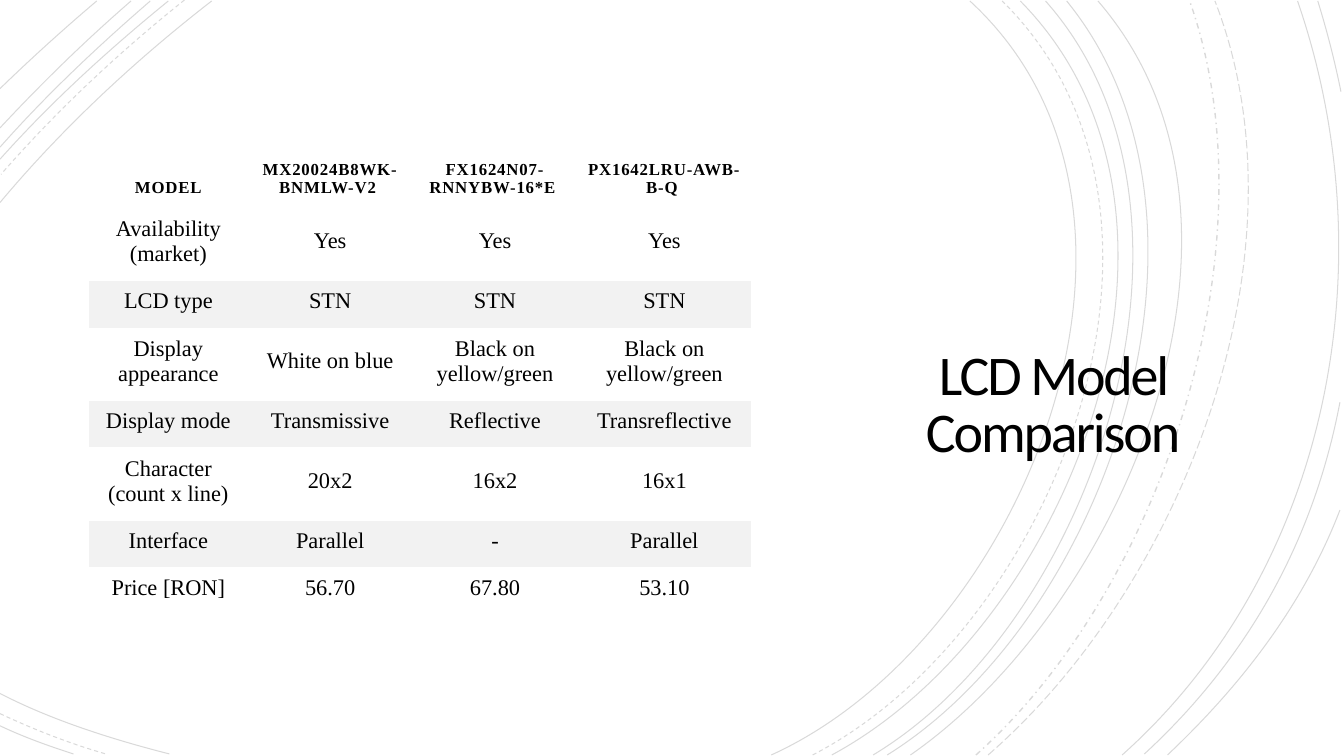
from dataclasses import dataclass

from lxml.etree import SubElement
from pptx import Presentation
from pptx.dml.color import RGBColor
from pptx.enum.dml import MSO_LINE
from pptx.enum.text import MSO_ANCHOR, PP_ALIGN
from pptx.oxml.ns import qn
from pptx.shapes.shapetree import GroupShapes
from pptx.slide import Slide
from pptx.text.text import TextFrame
from pptx.util import Pt

EMU_PER_PX = 9144  # 100 px to the inch
LINE_OPACITY = 15  # percent
PLAIN_TABLE_STYLE = "{2D5ABB26-0587-4C30-8999-92F81FD0307C}"
COLORS = {"ink": "000000", "band": "F2F2F2"}

Point = tuple[int, int]


@dataclass(frozen=True)
class Curve:
    """A cubic curve: start, two control points and end, in px."""
    start: Point
    control_1: Point
    control_2: Point
    end: Point
    dash: MSO_LINE = MSO_LINE.SOLID
    weight: float = 0.75


@dataclass(frozen=True)
class TextStyle:
    font: dict
    spacing: int  # hundredths of a point
    anchor: MSO_ANCHOR
    margins: tuple[int, int, int, int]  # left, top, right, bottom
    line_spacing: float = 1.0


TITLE = TextStyle({"name": "Calibri", "size": Pt(40), "bold": False}, -150,
                  MSO_ANCHOR.MIDDLE, (25, 25, 25, 0), 0.85)
HEADER = TextStyle({"name": "Times New Roman", "size": Pt(12), "bold": True}, 60,
                   MSO_ANCHOR.BOTTOM, (8, 10, 8, 10))
BODY = TextStyle({"name": "Times New Roman", "size": Pt(16), "bold": False}, 0,
                 MSO_ANCHOR.MIDDLE, (8, 4, 8, 10))

DASH, LONG_DASH, DASH_DOT = MSO_LINE.DASH, MSO_LINE.LONG_DASH, MSO_LINE.DASH_DOT
CURVES = [
    # Sweeping arcs on the right
    Curve((765, 749), (1016, 635), (1188, 209), (962, 1)),
    Curve((806, 749), (1046, 625), (1208, 212), (994, 1), DASH),
    Curve((825, 749), (1061, 622), (1221, 213), (1012, 1)),
    Curve((866, 749), (1087, 616), (1221, 208), (1037, 1)),
    Curve((880, 749), (1100, 612), (1233, 216), (1058, 1)),
    Curve((903, 749), (1113, 603), (1278, 220), (1089, 1)),
    Curve((968, 749), (1154, 583), (1265, 241), (1180, 1), DASH_DOT, 1),
    Curve((980, 749), (1173, 581), (1302, 251), (1205, 1), LONG_DASH),
    Curve((1113, 749), (1320, 564), (1376, 259), (1287, 1)),
    Curve((1135, 748), (1238, 653), (1303, 536), (1329, 399)),
    Curve((1158, 749), (1231, 680), (1293, 600), (1329, 506)),
    Curve((1330, 91), (1324, 61), (1316, 30), (1307, 1)),
    # Top left corner
    Curve((210, 1), (134, 60), (62, 127), (0, 201)),
    Curve((183, 0), (118, 52), (56, 110), (1, 173), DASH),
    Curve((167, 1), (108, 49), (51, 101), (0, 158)),
    Curve((149, 1), (97, 46), (46, 94), (0, 146)),
    Curve((130, 1), (84, 41), (41, 83), (0, 127)),
    Curve((96, 1), (63, 29), (31, 58), (0, 88)),
    # Bottom left corner
    Curve((0, 688), (52, 715), (113, 734), (168, 748)),
    Curve((0, 708), (34, 724), (70, 738), (105, 748), DASH),
    Curve((0, 720), (23, 731), (48, 740), (73, 748)),
]

COLUMN_WIDTHS = [158, 163, 164, 172]
HEADER_HEIGHT, ONE_LINE_HEIGHT, TWO_LINE_HEIGHT = 65, 46, 73
ROW_HEIGHTS = [HEADER_HEIGHT] + [TWO_LINE_HEIGHT, ONE_LINE_HEIGHT] * 3 + [ONE_LINE_HEIGHT]
MODELS = [
    ["MODEL", "MX20024B8WK-BNMLW-V2 ", "FX1624N07-RNNYBW-16*E ", "PX1642LRU-AWB-B-Q "],
    ["Availability (market)", "Yes", "Yes", "Yes"],
    ["LCD type", "STN", "STN", "STN"],
    ["Display appearance", "White on blue", "Black on yellow/green", "Black on yellow/green"],
    ["Display mode", "Transmissive", "Reflective", "Transreflective"],
    ["Character (count x line)", "20x2", "16x2", "16x1"],
    ["Interface", "Parallel", "-", "Parallel"],
    ["Price [RON]", "56.70", "67.80", "53.10"],
]


def px(length: int) -> int:
    return length * EMU_PER_PX


def color(name: str) -> RGBColor:
    return RGBColor.from_string(COLORS[name])


def draw_curve(shapes: GroupShapes, curve: Curve) -> None:
    """Build a freeform on the four points and bend its segments into one cubic."""
    builder = shapes.build_freeform(*curve.start, scale=EMU_PER_PX)
    builder.add_line_segments([curve.control_1, curve.control_2, curve.end], close=False)
    shape = builder.convert_to_shape()
    outline = next(shape.element.iter(qn("a:path")))
    segments = outline.findall(qn("a:lnTo"))
    cubic = SubElement(outline, qn("a:cubicBezTo"))
    for segment in segments:
        cubic.append(segment[0])
        outline.remove(segment)
    shape.shadow.inherit = False
    shape.fill.background()
    shape.line.width = Pt(curve.weight)
    shape.line.color.rgb = color("ink")
    shape.line.dash_style = curve.dash
    line_color = shape.element.spPr.find(qn("a:ln")).find(".//" + qn("a:srgbClr"))
    SubElement(line_color, qn("a:alpha")).set("val", str(LINE_OPACITY * 1000))


def write_text(frame: TextFrame, text: str, style: TextStyle) -> None:
    paragraph = frame.paragraphs[0]
    paragraph.alignment = PP_ALIGN.CENTER
    paragraph.line_spacing = style.line_spacing
    run = paragraph.add_run()
    run.text = text
    for attribute, value in style.font.items():
        setattr(run.font, attribute, value)
    run.font.color.rgb = color("ink")
    run.font._element.set("spc", str(style.spacing))


def set_layout(target, style: TextStyle) -> None:
    """Set anchor and margins of a text frame or a table cell."""
    target.vertical_anchor = style.anchor
    for side, margin in zip(("left", "top", "right", "bottom"), style.margins):
        setattr(target, f"margin_{side}", px(margin))


def draw_title(slide: Slide, text: str) -> None:
    frame = slide.shapes.add_textbox(px(853), px(257), px(383), px(269)).text_frame
    frame.word_wrap = True
    set_layout(frame, TITLE)
    write_text(frame, text, TITLE)


def draw_model_table(slide: Slide) -> None:
    graphic_frame = slide.shapes.add_table(
        len(MODELS), len(COLUMN_WIDTHS), px(88), px(141),
        px(sum(COLUMN_WIDTHS)), px(sum(ROW_HEIGHTS)))
    table = graphic_frame.table
    table.horz_banding = False
    next(graphic_frame.element.iter(qn("a:tableStyleId"))).text = PLAIN_TABLE_STYLE
    for column, width in zip(table.columns, COLUMN_WIDTHS):
        column.width = px(width)
    for row_index, (row, height) in enumerate(zip(table.rows, ROW_HEIGHTS)):
        row.height = px(height)
        style = BODY if row_index else HEADER
        is_banded = row_index in (2, 4, 6)
        for cell, text in zip(row.cells, MODELS[row_index]):
            set_layout(cell, style)
            write_text(cell.text_frame, text, style)
            if is_banded:
                cell.fill.solid()
                cell.fill.fore_color.rgb = color("band")
            else:
                cell.fill.background()


def main() -> None:
    presentation = Presentation()
    presentation.slide_width = px(1333)
    presentation.slide_height = px(750)
    slide = presentation.slides.add_slide(presentation.slide_layouts[6])
    background_curves = slide.shapes.add_group_shape().shapes
    for curve in CURVES:
        draw_curve(background_curves, curve)
    draw_title(slide, "LCD Model Comparison")
    draw_model_table(slide)
    presentation.save("out.pptx")


if __name__ == "__main__":
    main()
